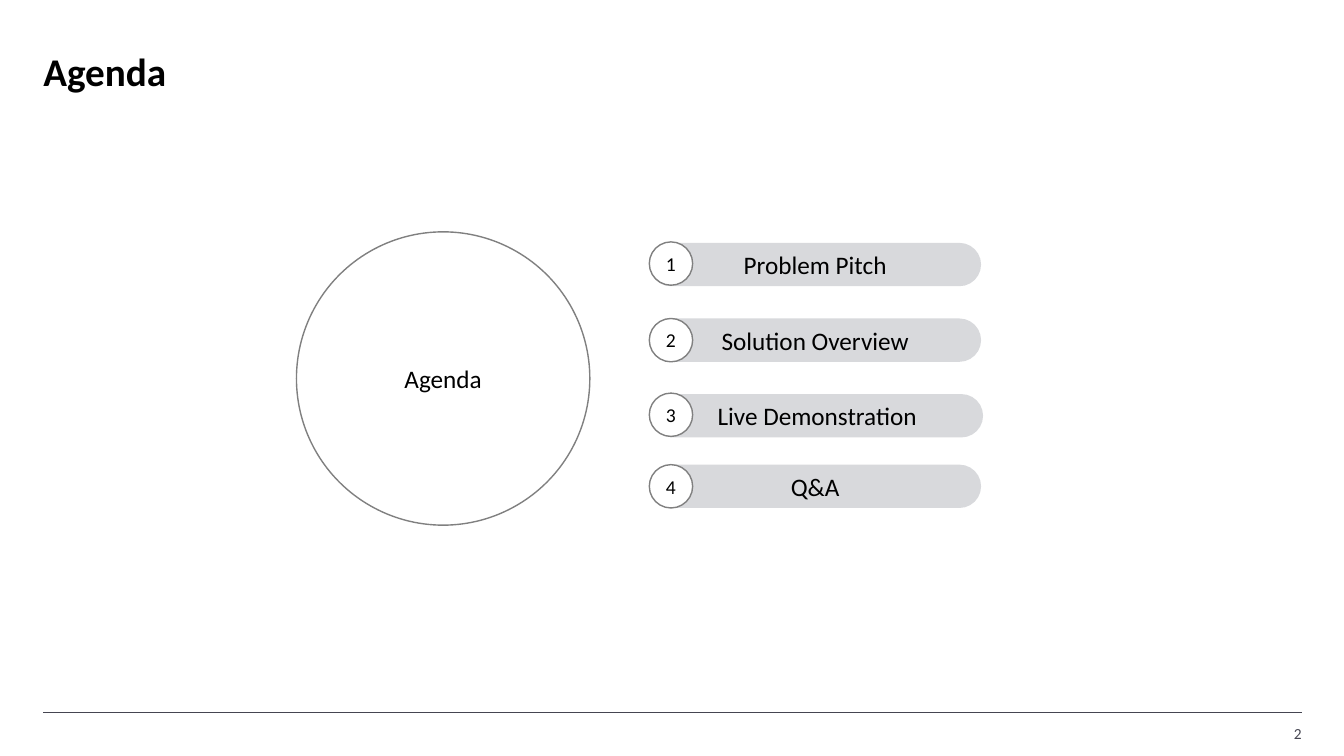
from lxml import etree
from pptx import Presentation
from pptx.dml.color import RGBColor
from pptx.enum.shapes import MSO_CONNECTOR, MSO_SHAPE
from pptx.enum.text import MSO_ANCHOR, PP_ALIGN
from pptx.oxml.ns import qn
from pptx.util import Inches, Pt

OVAL, PILL = MSO_SHAPE.OVAL, MSO_SHAPE.ROUNDED_RECTANGLE
STRAIGHT = MSO_CONNECTOR.STRAIGHT
MIDDLE, BOTTOM = MSO_ANCHOR.MIDDLE, MSO_ANCHOR.BOTTOM
LEFT, CENTER, RIGHT = PP_ALIGN.LEFT, PP_ALIGN.CENTER, PP_ALIGN.RIGHT

FONT = "Calibri"
COLORS = {
    "text": "000000",
    "footer": "454551",
    "pill": "D8D9DC",
    "circle": "FFFFFF",
    "outline": "808080",
}
TOPICS = [
    ("Problem Pitch", 0.01, 0.0, 0.0),
    ("Solution Overview", 0.76, 0.76, 0.0),
    ("Live Demonstration", 1.51, 1.5, 0.02),
    ("Q&A", 2.21, 2.21, 0.0),
]
ROW_HEIGHT = 0.43


def color(name):
    return RGBColor.from_string(COLORS[name])


def inches(*lengths):
    return [Inches(length) for length in lengths]


def write(shape, text, size=18, ink="text", bold=False, align=CENTER,
          anchor=MIDDLE, line_spacing=None):
    frame = shape.text_frame
    frame.word_wrap = True
    frame.vertical_anchor = anchor
    frame.margin_left = frame.margin_right = 0
    frame.margin_top = frame.margin_bottom = 0
    paragraph = frame.paragraphs[0]
    paragraph.alignment = align
    paragraph.line_spacing = line_spacing
    run = paragraph.add_run()
    run.text = text
    run.font.name = FONT
    run.font.size = Pt(size)
    run.font.bold = bold
    run.font.color.rgb = color(ink)


def add_label(slide, kind, box, text, fill, outline=None, size=18):
    label = slide.shapes.add_shape(kind, *inches(*box))
    label.shadow.inherit = False
    label.fill.solid()
    label.fill.fore_color.rgb = color(fill)
    if outline:
        label.line.color.rgb = color(outline)
        label.line.width = Pt(1)
    else:
        label.line.fill.background()
    write(label, text, size=size)
    return label


def add_title(slide, box, text):
    title = slide.shapes.title
    title.left, title.top, title.width, title.height = inches(*box)
    write(title, text, size=28, bold=True, align=LEFT, anchor=BOTTOM,
          line_spacing=0.9)


def add_hub(slide, box, text):
    add_label(slide, OVAL, box, text, "circle", "outline")


def add_topics(slide, box):
    left, top, width = box
    for number, (topic, pill_drop, badge_drop, shift) in enumerate(TOPICS, 1):
        pill = add_label(slide, PILL,
                         (left + shift, top + pill_drop, width, ROW_HEIGHT),
                         topic, "pill")
        pill.adjustments[0] = 0.5
        add_label(slide, OVAL, (left, top + badge_drop, ROW_HEIGHT, ROW_HEIGHT),
                  str(number), "circle", "outline", size=14)


def add_footer(slide, box, page):
    left, top, width = box
    rule = slide.shapes.add_connector(
        STRAIGHT, *inches(left, top, left + width, top))
    rule.line.color.rgb = color("footer")
    rule.line.width = Pt(0.25)
    etree.SubElement(rule._element.spPr, qn("a:effectLst"))
    page_number = slide.shapes.add_textbox(
        *inches(left + width - 0.66, top + 0.11, 0.66, 0.19))
    write(page_number, page, size=11, ink="footer", align=RIGHT)


def main():
    deck = Presentation()
    deck.slide_width, deck.slide_height = inches(13.33, 7.5)
    slide = deck.slides.add_slide(deck.slide_layouts[5])
    add_title(slide, (0.43, 0.52, 12.46, 0.42), "Agenda")
    add_topics(slide, (6.44, 2.4, 3.29))
    add_hub(slide, (2.94, 2.3, 2.91, 2.91), "Agenda")
    add_footer(slide, (0.43, 7.07, 12.48), "2")
    deck.save("out.pptx")


if __name__ == "__main__":
    main()
